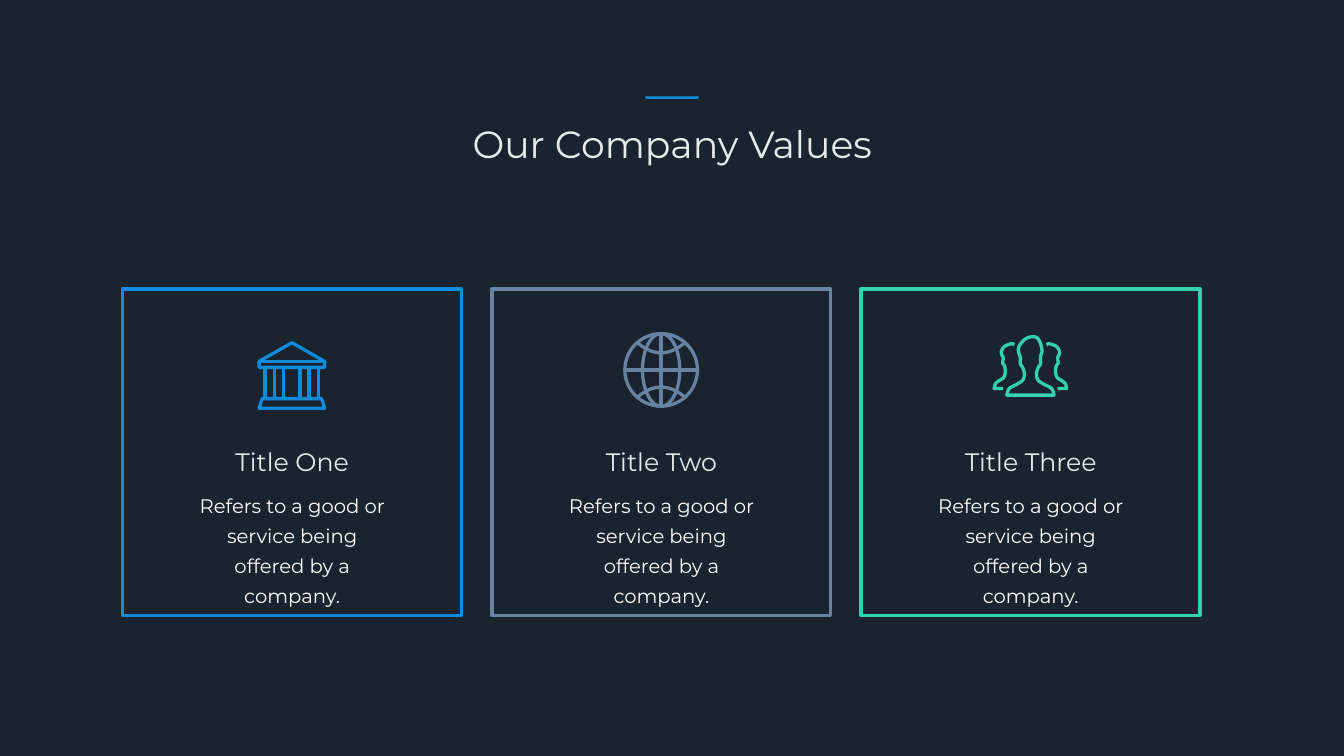
from math import cos, pi, sin

from pptx import Presentation
from pptx.dml.color import RGBColor
from pptx.enum.shapes import MSO_SHAPE
from pptx.enum.text import MSO_ANCHOR, MSO_AUTO_SIZE, PP_ALIGN
from pptx.util import Inches, Pt

RECT = MSO_SHAPE.RECTANGLE
TOP = MSO_ANCHOR.TOP
FIXED = MSO_AUTO_SIZE.NONE
CENTER = PP_ALIGN.CENTER

FONT = "Montserrat"
DARK, PALE, WHITE = "19242F", "E6ECED", "FFFFFF"
BLUE, SLATE, GREEN = "0F8BDA", "6882A1", "33D1AD"
STROKE = 4.7

CARD_X, CARD_Y, CARD_W, CARD_H = 2.43, 5.73, 6.72, 6.48
STEP = 7.325
BODY = "Refers to a good or service being offered by a company."


def color(code):
    return RGBColor.from_string(code)


def place(shape, x, y, w, h):
    shape.left, shape.top = Inches(x), Inches(y)
    shape.width, shape.height = Inches(w), Inches(h)


def write(shape, text, size, tint, wrap=True, inset=(0.1, 0.05), lead=None):
    frame = shape.text_frame
    frame.auto_size = FIXED
    frame.word_wrap = wrap
    frame.vertical_anchor = TOP
    frame.margin_left = frame.margin_right = Inches(inset[0])
    frame.margin_top = frame.margin_bottom = Inches(inset[1])
    para = frame.paragraphs[0]
    para.alignment = CENTER
    if lead:
        para.line_spacing = Pt(lead)
    run = para.add_run()
    run.text = text
    run.font.name = FONT
    run.font.size = Pt(size)
    run.font.color.rgb = color(tint)


def add_text(slide, box, text, **style):
    write(slide.shapes.add_textbox(*map(Inches, box)), text, **style)


def add_rect(slide, box, fill=None, line=None, width=5):
    rect = slide.shapes.add_shape(RECT, *map(Inches, box))
    rect.shadow.inherit = False
    if fill:
        rect.fill.solid()
        rect.fill.fore_color.rgb = color(fill)
    else:
        rect.fill.background()
    if line:
        rect.line.color.rgb = color(line)
        rect.line.width = Pt(width)
    else:
        rect.line.fill.background()


def add_icon(slide, mid, paths, tint):
    """Draw (points, closed) paths as one outline; x counts from mid."""
    pen = None
    for points, closed in paths:
        spots = [(Inches(mid + x), Inches(y)) for x, y in points]
        if pen is None:
            pen = slide.shapes.build_freeform(*spots[0])
        else:
            pen.move_to(*spots[0])
        pen.add_line_segments(spots[1:], close=closed)
    icon = pen.convert_to_shape()
    icon.shadow.inherit = False
    icon.fill.background()
    icon.line.color.rgb = color(tint)
    icon.line.width = Pt(STROKE)


def mirror(points):
    return [(-x, y) for x, y in points]


def smooth(knots, steps=6):
    """Return points on a Catmull-Rom curve through the knots."""
    ends = [knots[0], *knots, knots[-1]]
    curve = []
    for a, b, c, d in zip(ends, ends[1:], ends[2:], ends[3:]):
        for i in range(steps):
            t = i / steps
            curve.append(tuple(
                q + t * (r - p) / 2
                + t * t * (2 * p - 5 * q + 4 * r - s) / 2
                + t ** 3 * (3 * q - p - 3 * r + s) / 2
                for p, q, r, s in zip(a, b, c, d)))
    return curve + [knots[-1]]


def bank():
    roof = [(-0.65, 7.17), (0, 6.8), (0.65, 7.17), (0.65, 7.29), (-0.65, 7.29)]
    base = [(-0.59, 7.91), (0.59, 7.91), (0.65, 8.1), (-0.65, 8.1)]
    paths = [(roof, True), (base, True), ([roof[0], roof[2]], False)]
    for x in (0.16, 0.34, 0.53):
        post = [(x, 7.29), (x, 7.91)]
        paths += [(post, False), (mirror(post), False)]
    return paths


def globe(mid=7.34, size=0.72, count=72):
    def ring(wide):
        turns = [2 * pi * i / count for i in range(count)]
        return [(wide * cos(t), mid + size * sin(t)) for t in turns]

    def arc(sign):
        return [(0.47 * i / 10, mid + sign * (0.34 + 0.2 * (i / 10) ** 2))
                for i in range(-10, 11)]

    return [(ring(size), True), (ring(0.37), True),
            ([(-size, mid), (size, mid)], False),
            ([(0, mid - size), (0, mid + size)], False),
            (arc(-1), False), (arc(1), False)]


def people():
    chest = [(-0.47, 7.84), (-0.42, 7.71), (-0.26, 7.62), (-0.15, 7.54),
             (-0.12, 7.42), (-0.15, 7.3), (-0.2, 7.22)]
    head = [(-0.2, 7.1), (-0.24, 6.95), (-0.2, 6.83), (-0.09, 6.72),
            (0.04, 6.68), (0.14, 6.71), (0.2, 6.82), (0.23, 6.97), (0.2, 7.08)]
    front = smooth(chest + head + mirror(chest)[::-1])
    side = smooth([
        (0.32, 6.84), (0.37, 6.82), (0.47, 6.85), (0.54, 6.9), (0.58, 7),
        (0.54, 7.1), (0.55, 7.2), (0.51, 7.27), (0.5, 7.39), (0.53, 7.49),
        (0.6, 7.54), (0.69, 7.61), (0.72, 7.71)]) + [(0.54, 7.71)]
    return [(front, True), (side, False), (mirror(side), False)]


def add_card(slide, x, title, icon, tint):
    mid = x + CARD_W / 2
    add_rect(slide, (x, CARD_Y, CARD_W, CARD_H), line=tint)
    add_text(slide, (mid - 2.04, 8.81, 4.09, 0.71), title, size=36, tint=PALE)
    add_text(slide, (mid - 2.25, 9.54, 4.51, 2), BODY, size=28, tint=WHITE,
             inset=(0.24, 0.12), lead=43)
    add_icon(slide, mid, icon, tint)


def main():
    deck = Presentation()
    deck.slide_width, deck.slide_height = Inches(26.66), Inches(15)
    slide = deck.slides.add_slide(deck.slide_layouts[5])
    slide.background.fill.solid()
    slide.background.fill.fore_color.rgb = color(DARK)

    title = slide.shapes.title
    place(title, 9.2, 2.34, 8.27, 1.01)
    write(title, "Our Company Values", size=54, tint=PALE, wrap=False)
    add_rect(slide, (12.8, 1.91, 1.06, 0.05), fill=BLUE)

    cards = [("Title One", bank(), BLUE),
             ("Title Two", globe(), SLATE),
             ("Title Three", people(), GREEN)]
    for i, card in enumerate(cards):
        add_card(slide, CARD_X + i * STEP, *card)
    deck.save("out.pptx")


if __name__ == "__main__":
    main()
